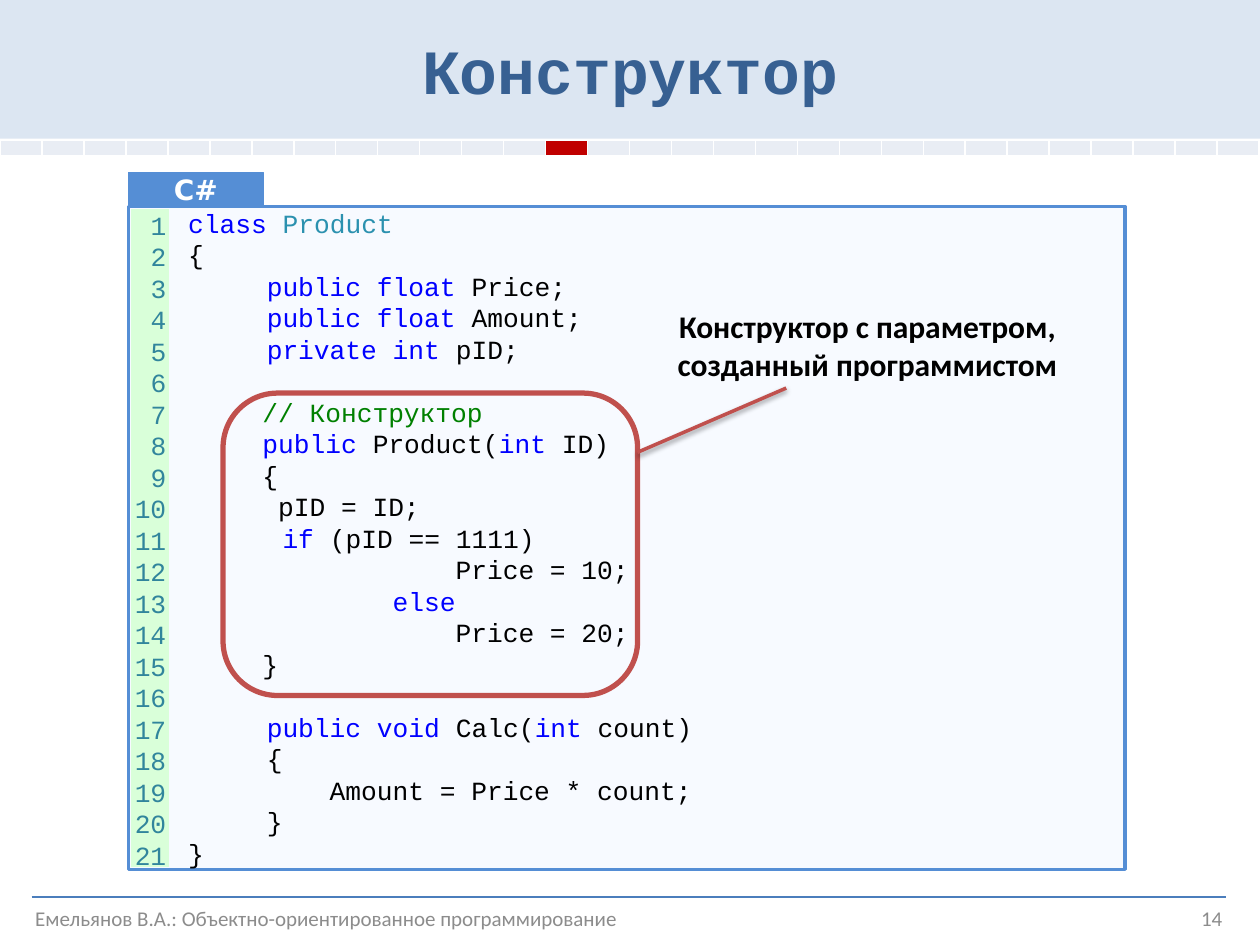
import dataclasses

import lxml.etree
import pptx
import pptx.dml.color
import pptx.enum.shapes
import pptx.enum.text
import pptx.oxml
import pptx.oxml.ns
import pptx.util

SHAPE = pptx.enum.shapes.MSO_SHAPE
ALIGN = pptx.enum.text.PP_ALIGN
ANCHOR = pptx.enum.text.MSO_ANCHOR
qn = pptx.oxml.ns.qn
WIDTH, HEIGHT = pptx.util.Inches(10), pptx.util.Inches(7.5)
COLUMN, ROW = WIDTH / 100, HEIGHT / 75  # square grid


@dataclasses.dataclass(frozen=True)
class Theme:
    mono: str = "Courier New"
    sans: str = "Calibri"
    tab_font: str = "DejaVu Sans"
    title_size: int = 36
    callout_size: int = 18
    tab_size: int = 16
    code_size: int = 15
    code_leading: int = 18
    footer_size: int = 12
    title: str = "376092"
    banner: str = "DCE6F2"
    step: str = "E9EDF4"
    current_step: str = "C00000"
    white: str = "FFFFFF"
    panel: str = "F7FAFF"
    frame: str = "558ED5"
    gutter: str = "D9FFD9"
    number: str = "31859C"
    accent: str = "C0504D"
    rule: str = "4B7EBC"
    muted: str = "8C8C8C"
    plain: str = "000000"
    keyword: str = "0000FF"
    type_name: str = "2B91AF"
    comment: str = "008000"


THEME = Theme()
K, T, C, P = THEME.keyword, THEME.type_name, THEME.comment, THEME.plain
# Each line: left margin in columns, then (text, colour) parts
CODE = [
    (0, ("   class ", K), ("Product", T)),
    (0, ("   {", P)),
    (0, ("        public float", K), (" Price;", P)),
    (0, ("        public float", K), (" Amount;", P)),
    (0, ("        private int ", K), ("pID;", P)),
    (0.9,),
    (0.9, ("       // Конструктор", C)),
    (0.9, ("       public", K), (" Product(", P), ("int ", K), ("ID)", P)),
    (0.9, ("       {", P)),
    (0.9, ("        pID = ID;", P)),
    (0, ("         if ", K), ("(pID == 1111)", P)),
    (0, ("                    Price = 10;", P)),
    (0, ("                else", K)),
    (0, ("                    Price = 20;", P)),
    (0.9, ("       }", P)),
    (0,),
    (0, ("        public void ", K), ("Calc(", P), ("int", K), (" count)", P)),
    (0, ("        {", P)),
    (0, ("            Amount = Price * count;", P)),
    (0, ("        }", P)),
    (0, ("   }", P)),
]


def rgb(colour):
    return pptx.dml.color.RGBColor.from_string(colour)


def emu(box):
    left, top, width, height = box
    return [round(n) for n in (left * COLUMN, top * ROW, width * COLUMN, height * ROW)]


def add_block(slide, box, fill=None, line=None, weight=0.75, kind=SHAPE.RECTANGLE):
    block = slide.shapes.add_shape(kind, *emu(box))
    block.shadow.inherit = False
    if fill:
        block.fill.solid()
        block.fill.fore_color.rgb = rgb(fill)
    else:
        block.fill.background()
    if line:
        block.line.color.rgb = rgb(line)
        block.line.width = pptx.util.Pt(weight)
    else:
        block.line.fill.background()
    return block


def add_line(slide, start, end, colour, weight):
    ends = emu((*start, *end))
    line = slide.shapes.add_connector(pptx.enum.shapes.MSO_CONNECTOR.STRAIGHT, *ends)
    line.line.color.rgb = rgb(colour)
    line.line.width = pptx.util.Pt(weight)
    return lxml.etree.SubElement(line._element.spPr, qn("a:effectLst"))


def style(paragraph, font, size, colour=None, bold=False, align=ALIGN.LEFT):
    paragraph.alignment = align
    paragraph.font.name = font
    paragraph.font.size = pptx.util.Pt(size)
    paragraph.font.bold = bold
    if colour:
        paragraph.font.color.rgb = rgb(colour)


def write(shape, text, *look, anchor=ANCHOR.MIDDLE, **more):
    frame = shape.text_frame
    frame.word_wrap = True
    frame.vertical_anchor = anchor
    frame.text = text
    for paragraph in frame.paragraphs:
        style(paragraph, *look, **more)
    return frame


def title_banner(slide, box):
    banner = add_block(slide, box, THEME.banner)
    write(banner, "Конструктор", THEME.mono, THEME.title_size, THEME.title,
          bold=True, align=ALIGN.CENTER)


def progress_strip(slide, box, steps, current):
    table = slide.shapes.add_table(1, steps, *emu(box)).table
    for index, column in enumerate(table.columns):
        column.width = round(box[2] * COLUMN / steps)
        cell = table.cell(0, index)
        cell.margin_left = cell.margin_right = cell.margin_top = cell.margin_bottom = 0
        cell.text_frame.paragraphs[0].font.size = pptx.util.Pt(1)
        properties = cell._tc.get_or_add_tcPr()
        for side in ("a:lnL", "a:lnR", "a:lnT", "a:lnB"):
            border = lxml.etree.SubElement(properties, qn(side), w=str(pptx.util.Pt(1)))
            paint = lxml.etree.SubElement(border, qn("a:solidFill"))
            lxml.etree.SubElement(paint, qn("a:srgbClr"), val=THEME.white)
        cell.fill.solid()
        cell.fill.fore_color.rgb = rgb(THEME.current_step if index == current else THEME.step)


def code_panel(slide, box):
    left, top, width, height = box
    tab_height, edge = 2.7, 0.2
    body_top, body_height = top + tab_height, height - tab_height

    # Code listing
    body = add_block(slide, (left, body_top, width, body_height), THEME.panel, THEME.frame, 2)
    frame = write(body, "\n".join("" for line in CODE), THEME.mono, THEME.code_size)
    for paragraph, (margin, *parts) in zip(frame.paragraphs, CODE):
        paragraph.line_spacing = pptx.util.Pt(THEME.code_leading)
        if margin:
            paragraph._p.get_or_add_pPr().set("marL", str(round(margin * COLUMN)))
        for text, colour in parts:
            run = paragraph.add_run()
            run.text = text
            run.font.color.rgb = rgb(colour)

    # Language tab
    tab = add_block(slide, (left, top, 10.7, tab_height), THEME.frame, THEME.frame)
    label = write(tab, "C#", THEME.tab_font, THEME.tab_size, THEME.white,
                  bold=True, align=ALIGN.CENTER)
    label.margin_top = label.margin_bottom = 0

    # Line numbers
    gutter = add_block(slide, (left + edge, body_top + edge, 3, body_height - 2 * edge), THEME.gutter)
    numbers = write(gutter, "\n".join(str(n + 1) for n in range(len(CODE))), THEME.mono,
                    THEME.code_size, THEME.number, anchor=ANCHOR.TOP, align=ALIGN.RIGHT)
    numbers.margin_left = numbers.margin_top = numbers.margin_bottom = 0
    numbers.margin_right = pptx.util.Inches(0.02)
    for paragraph in numbers.paragraphs:
        paragraph.line_spacing = pptx.util.Pt(THEME.code_leading)


def constructor_callout(slide, box):
    left, top, width, height = box
    # Outline round the constructor
    outline = add_block(slide, (left, top + 7.3, 32.9, 24), line=THEME.accent, weight=3,
                        kind=SHAPE.ROUNDED_RECTANGLE)
    outline.adjustments[0] = 0.18
    # Leader with a soft shadow
    effects = add_line(slide, (left + 32.9, top + 12), (left + 44.7, top + 6.9), THEME.accent, 2)
    shadow = lxml.etree.SubElement(
        effects, qn("a:outerShdw"), blurRad=str(pptx.util.Pt(3.1)),
        dist=str(pptx.util.Pt(1.6)), dir="5400000", rotWithShape="0")
    shade = lxml.etree.SubElement(shadow, qn("a:srgbClr"), val=THEME.plain)
    lxml.etree.SubElement(shade, qn("a:alpha"), val="38000")
    # Explanation
    note = slide.shapes.add_textbox(*emu((left + 34.2, top, width - 34.2, 7.1)))
    write(note, "Конструктор с параметром, созданный программистом", THEME.sans,
          THEME.callout_size, THEME.plain, anchor=ANCHOR.TOP, bold=True, align=ALIGN.CENTER)


def footer(slide, box):
    left, top, width, height = box
    look = (THEME.sans, THEME.footer_size, THEME.muted)
    course = slide.shapes.add_textbox(*emu((left, top, 49.6, height)))
    write(course, "Емельянов В.А.: Объектно-ориентированное программирование", *look,
          align=ALIGN.CENTER)
    page = slide.shapes.add_textbox(*emu((left + width - 23.3, top, 23.3, height)))
    write(page, "14", *look, align=ALIGN.RIGHT)
    add_line(slide, (left + 1.4, top + 0.4), (left + width - 0.7, top + 0.4), THEME.rule, 0.75)


def main():
    deck = pptx.Presentation()
    deck.slide_width, deck.slide_height = WIDTH, HEIGHT
    slide = deck.slides.add_slide(deck.slide_layouts[6])
    progress_strip(slide, (0, 11.1, 100, 1.3), steps=30, current=13)
    title_banner(slide, (0, 0, 100, 11))
    code_panel(slide, (10.2, 13.7, 79.1, 55.3))
    constructor_callout(slide, (17.7, 23.9, 68.1, 31.3))
    footer(slide, (1.1, 70.8, 96.9, 4.1))
    deck.save("out.pptx")


if __name__ == "__main__":
    main()
